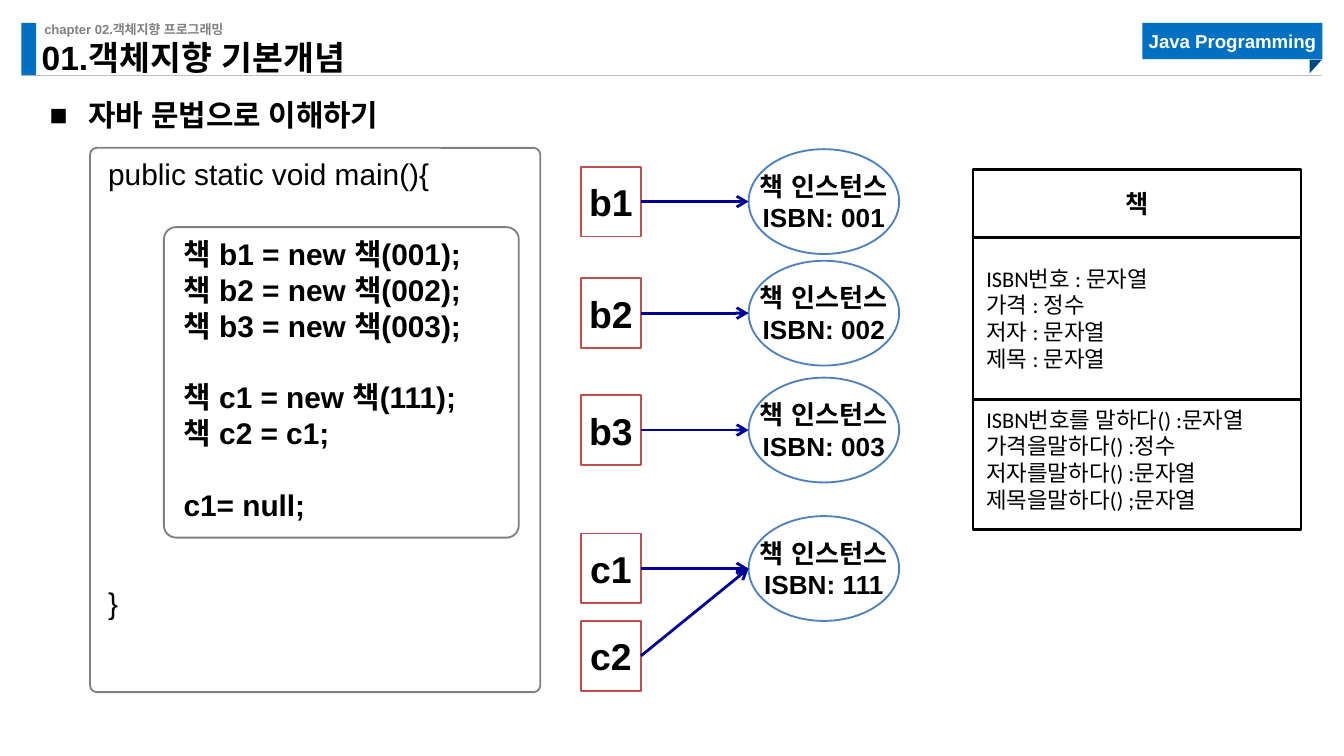
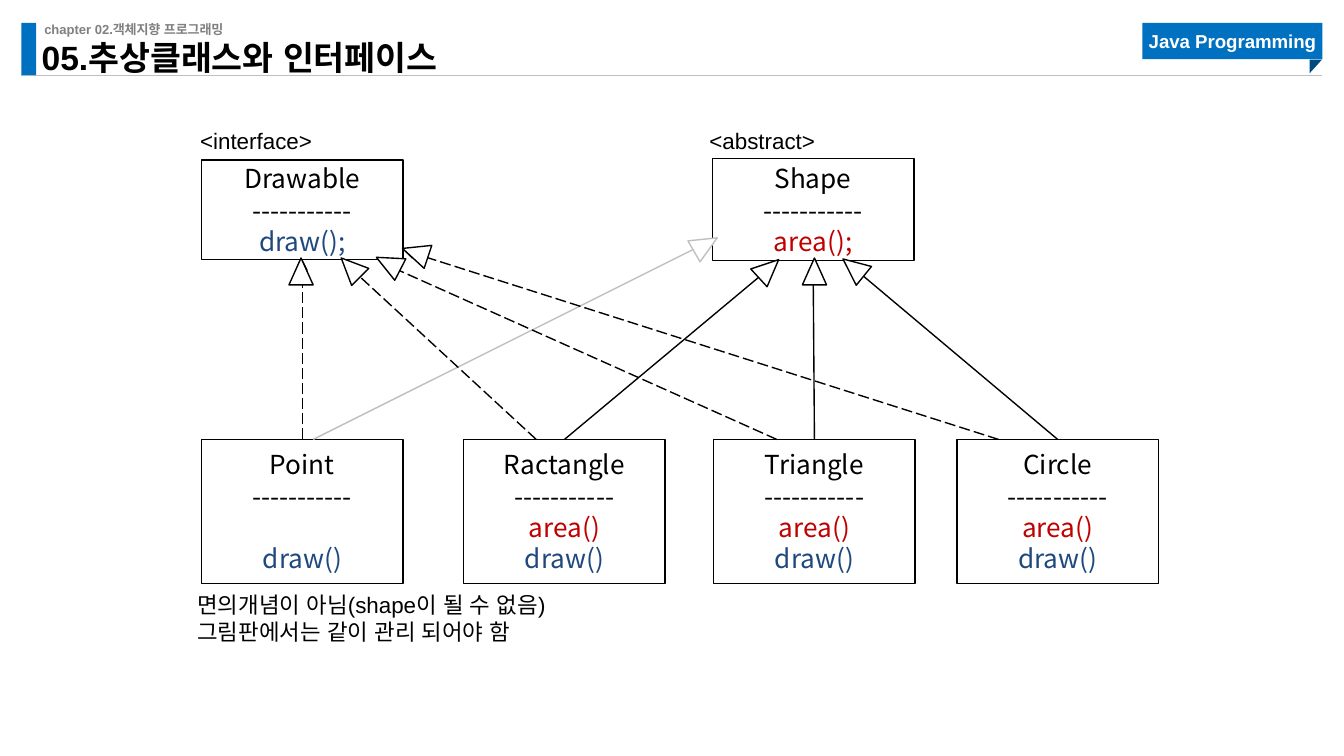
"""Build two slides on object basics and on abstract classes in Java."""
from dataclasses import dataclass

from lxml import etree
from pptx import Presentation
from pptx.dml.color import RGBColor
from pptx.enum import dml, shapes, text
from pptx.oxml.ns import qn
from pptx.util import Emu, Pt

PX = 9144
KIND = shapes.MSO_SHAPE
ALIGN = text.PP_ALIGN
ANCHOR = text.MSO_ANCHOR
SIDE = {"top": 0, "left": 1, "bottom": 2, "right": 3}


@dataclass(frozen=True)
class Theme:
    """Hold colours, fonts and type sizes."""
    black: str = "000000"
    white: str = "FFFFFF"
    blue: str = "0070C0"
    fold: str = "004A82"
    gray: str = "808080"
    pale: str = "BFBFBF"
    oval: str = "4F81BD"
    brick: str = "C0504D"
    navy: str = "000099"
    red: str = "C00000"
    ink: str = "1F497D"
    sans: str = "Arial"
    body: str = "Calibri"
    uml: str = "Noto Sans CJK KR"
    tiny: float = 7
    tag: float = 10
    note: float = 12
    name: float = 13.5
    node: float = 14
    code: float = 16
    title: float = 18
    var: float = 20


T = Theme()
FLAT = {"ins": (0, 0, 0, 0)}
MID = {**FLAT, "align": ALIGN.CENTER, "anchor": ANCHOR.MIDDLE}
STYLE = {
    "chapter": {**FLAT, "size": T.tiny, "color": T.gray, "bold": True, "grow": True},
    "tag": {**MID, "size": T.tag, "color": T.white, "bold": True},
    "title": {**FLAT, "size": T.title, "bold": True, "anchor": ANCHOR.BOTTOM, "lead": 0.9},
    "head": {**FLAT, "size": T.code, "bold": True, "lead": 1.5, "bullet": "■"},
    "code": {"size": T.code, "ins": (12, 4, 12, 4)},
    "main": {"size": T.code, "ins": (12, 4, 12, 4), "bold": True},
    "var": {**MID, "size": T.var, "bold": True, "wrap": False},
    "object": {**MID, "size": T.node, "bold": True, "wrap": False},
    "name": {"font": T.body, "size": T.name, "bold": True,
             "align": ALIGN.CENTER, "anchor": ANCHOR.MIDDLE},
    "field": {"font": T.body, "size": T.note, "anchor": ANCHOR.MIDDLE},
    "method": {"font": T.body, "size": T.note},
    "uml": {**MID, "font": T.uml, "size": T.node},
    "note": {"size": T.note, "wrap": False, "grow": True},
}

CHAPTER = "chapter 02.객체지향 프로그래밍"
TAG = "Java Programming"
TITLES = ["01.객체지향 기본개념", "05.추상클래스와 인터페이스"]
HEAD = "자바 문법으로 이해하기"
OUTER = ["public static void main(){", ("}", {"gap": 211})]
INNER = ["책 b1 = new 책(001);", "책 b2 = new 책(002);", "책 b3 = new 책(003);",
         ("책 c1 = new 책(111);", {"gap": 19}), "책 c2 = c1;",
         ("c1= null;", {"gap": 19.5})]
VARS = {"b1": 124, "b2": 207, "b3": 294, "c1": 397, "c2": 462}
BOOKS = {"001": ["b1"], "002": ["b2"], "003": ["b3"], "111": ["c1", "c2"]}
CARD = [
    ("name", 51, ["책"]),
    ("field", 120, ["ISBN번호 : 문자열", "가격 : 정수", "저자 : 문자열", "제목 : 문자열"]),
    ("method", 97, ["ISBN번호를 말하다() :문자열", "가격을말하다() :정수",
                    "저자를말하다() :문자열", "제목을말하다() ;문자열"]),
]

RULE = "-----------"
AREA, DRAW = ("area()", {"color": T.red}), ("draw()", {"color": T.ink})
NODES = {
    "Drawable": (150, 119, 74, [("draw();", {"color": T.ink})]),
    "Shape": (530, 118, 76, [("area();", {"color": T.red})]),
    "Point": (150, 327, 107, [("draw()", {"color": T.ink, "gap": 16.6})]),
    "Ractangle": (345, 327, 107, [AREA, DRAW]),
    "Triangle": (531, 327, 107, [AREA, DRAW]),
    "Circle": (712, 327, 107, [AREA, DRAW]),
}
NOTES = [
    ((139, 90, 109, 30), ["<interface>"]),
    ((518, 90, 104, 30), ["<abstract>"]),
    ((137, 435, 301, 51), ["면의개념이 아님(shape이 될 수 없음)", "그림판에서는 같이 관리 되어야 함"]),
]
SOLID, DASH = None, dml.MSO_LINE.LONG_DASH
LINKS = [
    ("Point", 233, (531, 178), (516, 172), 60, T.pale, SOLID),
    ("Ractangle", 420, (578, 195), (563, 190), 47.4, T.black, SOLID),
    ("Triangle", 606, "Shape", (597, 192), 0, T.black, SOLID),
    ("Circle", 787, (630, 195), (626, 189), 309, T.black, SOLID),
    ("Ractangle", 399, (256, 195), (252, 189), 315, T.black, DASH),
    ("Point", 225, "Drawable", (215, 192), 0, T.black, DASH),
    ("Triangle", 578, (283, 195), (280, 186), 297.2, T.black, DASH),
    ("Circle", 743, (300, 186), (300, 178), 288.4, T.black, DASH),
]


def px(*vals):
    return [Emu(v * PX) for v in vals]


def rgb(code):
    return RGBColor.from_string(code)


def write(shape, lines, style):
    look = STYLE[style]
    frame = shape.text_frame
    names = ("margin_left", "margin_top", "margin_right", "margin_bottom")
    opts = dict(zip(names, px(*look.get("ins", (10, 5, 10, 5)))))
    opts["word_wrap"] = look.get("wrap", True)
    opts["vertical_anchor"] = look.get("anchor", ANCHOR.TOP)
    if look.get("grow"):
        opts["auto_size"] = text.MSO_AUTO_SIZE.SHAPE_TO_FIT_TEXT
    for key, val in opts.items():
        setattr(frame, key, val)
    for num, line in enumerate(lines):
        words, more = line if isinstance(line, tuple) else (line, {})
        fit = {**look, **more}
        face = fit.get("font", T.sans)
        para = frame.add_paragraph() if num else frame.paragraphs[0]
        if "bullet" in fit:
            prop = para._p.get_or_add_pPr()
            indent = 29 * PX
            prop.set("marL", str(indent))
            prop.set("indent", str(-indent))
            etree.SubElement(prop, qn("a:buFont")).set("typeface", face)
            etree.SubElement(prop, qn("a:buChar")).set("char", fit["bullet"])
        para.alignment = fit.get("align", ALIGN.LEFT)
        if "lead" in fit:
            para.line_spacing = fit["lead"]
        if "gap" in fit:
            para.space_before = Pt(fit["gap"])
        run = para.add_run()
        run.text = words
        font = {"name": face, "size": Pt(fit["size"]), "bold": fit.get("bold", False)}
        for key, val in font.items():
            setattr(run.font, key, val)
        run.font.color.rgb = rgb(fit.get("color", T.black))
        etree.SubElement(run._r.get_or_add_rPr(), qn("a:ea")).set("typeface", face)


def label(slide, rect, lines, style):
    write(slide.shapes.add_textbox(*px(*rect)), lines, style)


def box(slide, kind, rect, fill=None, line=None, width=1, turn=0, curve=None):
    shape = slide.shapes.add_shape(kind, *px(*rect))
    shape.shadow.inherit = False
    shape.rotation = turn
    if curve is not None:
        shape.adjustments[0] = curve
    if fill:
        shape.fill.solid()
        shape.fill.fore_color.rgb = rgb(fill)
    else:
        shape.fill.background()
    if line:
        shape.line.color.rgb = rgb(line)
        shape.line.width = Pt(width)
    else:
        shape.line.fill.background()
    return shape


def link(slide, start, end, color, width, head=None, dash=None):
    line = slide.shapes.add_connector(shapes.MSO_CONNECTOR.STRAIGHT, *px(*start, *end))
    line.line.color.rgb = rgb(color)
    line.line.width = Pt(width)
    if dash:
        line.line.dash_style = dash
    if head:
        etree.SubElement(line.line._get_or_add_ln(), qn("a:tailEnd")).set("type", head)
    etree.SubElement(line._element.spPr, qn("a:effectLst"))
    return line


def base(deck, title):
    slide = deck.slides.add_slide(deck.slide_layouts[6])
    link(slide, (16, 56), (984, 56), T.pale, 0.5)
    box(slide, KIND.RECTANGLE, (16, 17, 11, 39), T.blue)
    label(slide, (33, 16, 323, 12), [CHAPTER], "chapter")
    write(box(slide, KIND.RECTANGLE, (850, 17, 134, 27), T.blue), [TAG], "tag")
    box(slide, KIND.RIGHT_TRIANGLE, (974, 45, 10, 9), T.fold, turn=90)
    label(slide, (31, 35, 330, 23), [title], "title")
    return slide


def basics(deck):
    slide = base(deck, TITLES[0])
    label(slide, (37, 59, 954, 33), [HEAD], "head")
    top = 126
    for style, high, lines in CARD:
        part = box(slide, KIND.RECTANGLE, (724, top, 244, high), line=T.black, width=1.5)
        write(part, lines, style)
        top += high
    for rect, curve, lines, style in (((122, 169, 264, 231), 0.039, INNER, "main"),
                                      ((67, 110, 335, 405), 0.015, OUTER, "code")):
        part = box(slide, KIND.ROUNDED_RECTANGLE, rect, line=T.gray, curve=curve)
        write(part, lines, style)
    cells = {}
    for name, top in VARS.items():
        cells[name] = box(slide, KIND.RECTANGLE, (432, top, 45, 52), T.white, T.brick)
        write(cells[name], [name], "var")
    for code, names in BOOKS.items():
        mid = VARS[names[0]] + 26
        book = box(slide, KIND.OVAL, (557, mid - 39, 112, 78), T.white, T.oval)
        write(book, ["책 인스턴스", f"ISBN: {code}"], "object")
        for name in names:
            line = link(slide, (477, VARS[name] + 26), (557, mid), T.navy, 1.5, "arrow")
            line.begin_connect(cells[name], SIDE["right"])


def classes(deck):
    slide = base(deck, TITLES[1])
    nodes = {}
    for name, (left, top, high, lines) in NODES.items():
        nodes[name] = box(slide, KIND.RECTANGLE, (left, top, 150, high),
                          line=T.black, width=0.75)
        write(nodes[name], [name, RULE, *lines], "uml")
    for rect, lines in NOTES:
        label(slide, rect, lines, "note")
    for name, left, goal, tip, turn, color, dash in LINKS:
        side, top = NODES[name][:2]
        end = (left, 195) if goal in nodes else goal
        line = link(slide, (left, top), end, color, 0.75, "triangle", dash)
        if left == side + 75:
            line.begin_connect(nodes[name], SIDE["top"])
        if goal in nodes:
            line.end_connect(nodes[goal], SIDE["bottom"])
        box(slide, KIND.ISOSCELES_TRIANGLE, (*tip, 18, 20), T.white, color, 0.75, turn)


def main():
    deck = Presentation()
    wide, = px(1000)
    deck.slide_width, deck.slide_height = wide, wide * 9 // 16
    basics(deck)
    classes(deck)
    deck.save("out.pptx")


if __name__ == "__main__":
    main()
